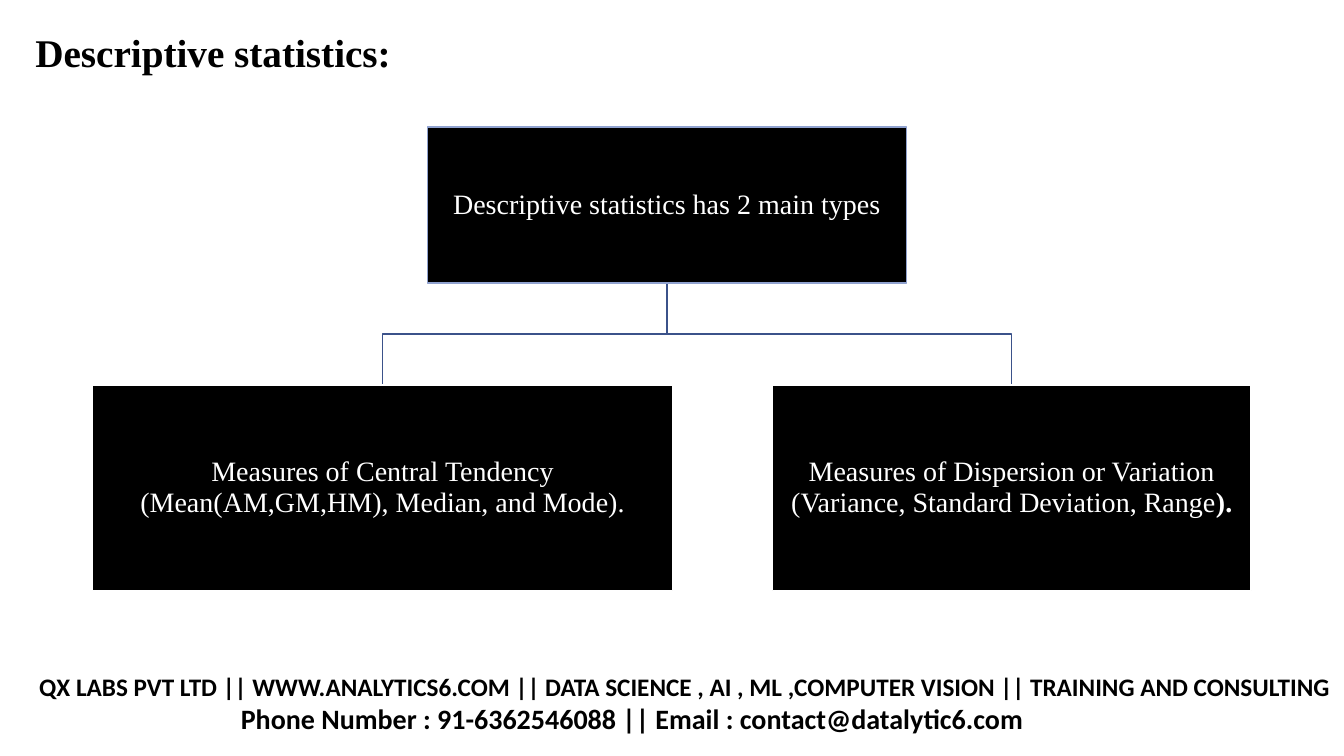
from pptx import Presentation
from pptx import util as u
from pptx.dml import color
from pptx.enum import shapes, text

HUES = {"ink": "000000", "paper": "FFFFFF", "wire": "3B528A", "rim": "90A2CF"}
SERIF, SANS = "Times New Roman", "Calibri"


def hue(name):
    return color.RGBColor.from_string(HUES[name])


def put(item, **values):
    """Set each named value as an attribute of item."""
    for key, value in values.items():
        setattr(item, key, value)


class Chart:
    """Holds the slide and the style of a tree of boxes."""

    def __init__(self, deck):
        self.slide = deck.slides.add_slide(deck.slide_layouts[5])
        self.shapes = self.slide.shapes

    def label(self, para, words, size, face, tint, bold=False):
        run = para.add_run()
        run.text = words
        put(run.font, size=u.Pt(size), name=face, bold=bold)
        run.font.color.rgb = hue(tint)

    def edge(self, shape, tint):
        shape.shadow.inherit = False
        shape.line.color.rgb = hue(tint)
        shape.line.width = u.Pt(1)

    def title(self, words, left, top, width, height):
        head = self.shapes.title
        put(head, left=u.Inches(left), top=u.Inches(top),
            width=u.Inches(width), height=u.Inches(height))
        put(head.text_frame, vertical_anchor=text.MSO_ANCHOR.TOP,
            auto_size=text.MSO_AUTO_SIZE.NONE, word_wrap=True)
        para = head.text_frame.paragraphs[0]
        put(para, alignment=text.PP_ALIGN.LEFT, line_spacing=0.9)
        self.label(para, words, 28, SERIF, "ink", True)

    def box(self, left, top, width, height, rim, words, tail=""):
        """Draw a black box; tail is a bold ending of its words."""
        spot = map(u.Inches, (left, top, width, height))
        shape = self.shapes.add_shape(shapes.MSO_SHAPE.RECTANGLE, *spot)
        shape.fill.solid()
        shape.fill.fore_color.rgb = hue("ink")
        self.edge(shape, rim)
        pad = u.Inches(0.01)
        put(shape.text_frame, word_wrap=True, vertical_anchor=text.MSO_ANCHOR.MIDDLE,
            margin_left=pad, margin_right=pad, margin_top=pad, margin_bottom=pad)
        para = shape.text_frame.paragraphs[0]
        put(para, alignment=text.PP_ALIGN.CENTER, line_spacing=0.9)
        self.label(para, words, 20, SERIF, "paper")
        if tail:
            self.label(para, tail, 20, SERIF, "paper", True)

    def elbow(self, start, end):
        """Join two points by a line that turns halfway down."""
        (x1, y1), (x2, y2) = start, end
        mid = (y1 + y2) / 2
        turns = [(u.Inches(x), u.Inches(y)) for x, y in ((x1, mid), (x2, mid), (x2, y2))]
        pen = self.shapes.build_freeform(u.Inches(x1), u.Inches(y1))
        pen.add_line_segments(turns, close=False)
        wire = pen.convert_to_shape()
        wire.fill.background()
        self.edge(wire, "wire")

    def footer(self, left, top, width, height, lines):
        """Add lines of (words, size, indent in inches)."""
        area = self.shapes.add_textbox(*map(u.Inches, (left, top, width, height)))
        frame = area.text_frame
        frame.word_wrap = True
        for row, (words, size, indent) in enumerate(lines):
            para = frame.add_paragraph() if row else frame.paragraphs[0]
            if indent:
                para._p.get_or_add_pPr().set("marL", str(u.Inches(indent)))
            self.label(para, words, size, SANS, "ink", True)


def main():
    deck = Presentation()
    put(deck, slide_width=u.Inches(13.33), slide_height=u.Inches(7.5))
    tree = Chart(deck)
    tree.title("Descriptive statistics:", 0.25, 0.28, 11.5, 1.45)

    root = (4.24, 1.26, 4.75, 1.55)
    top, height = 3.82, 2.04
    kinds = [
        (0.92, 5.75, "Measures of Central Tendency (Mean(AM,GM,HM), Median, and Mode).", ""),
        (7.66, 4.75, "Measures of Dispersion or Variation "
                     "(Variance, Standard Deviation, Range", ")."),
    ]
    stem = (root[0] + root[2] / 2, root[1] + root[3])
    for left, width, *_ in reversed(kinds):
        tree.elbow(stem, (left + width / 2, top))
    tree.box(*root, "rim", "Descriptive statistics has 2 main types")
    for left, width, words, tail in kinds:
        tree.box(left, top, width, height, "paper", words, tail)

    tree.footer(0.29, 6.61, 13.35, 0.7, [
        ("QX LABS PVT LTD || WWW.ANALYTICS6.COM || DATA SCIENCE , AI , ML ,"
         "COMPUTER VISION || TRAINING AND CONSULTING", 18, 0),
        ("Phone Number : 91-6362546088 || Email : contact@datalytic6.com", 20, 2),
    ])
    deck.save("out.pptx")


if __name__ == "__main__":
    main()
